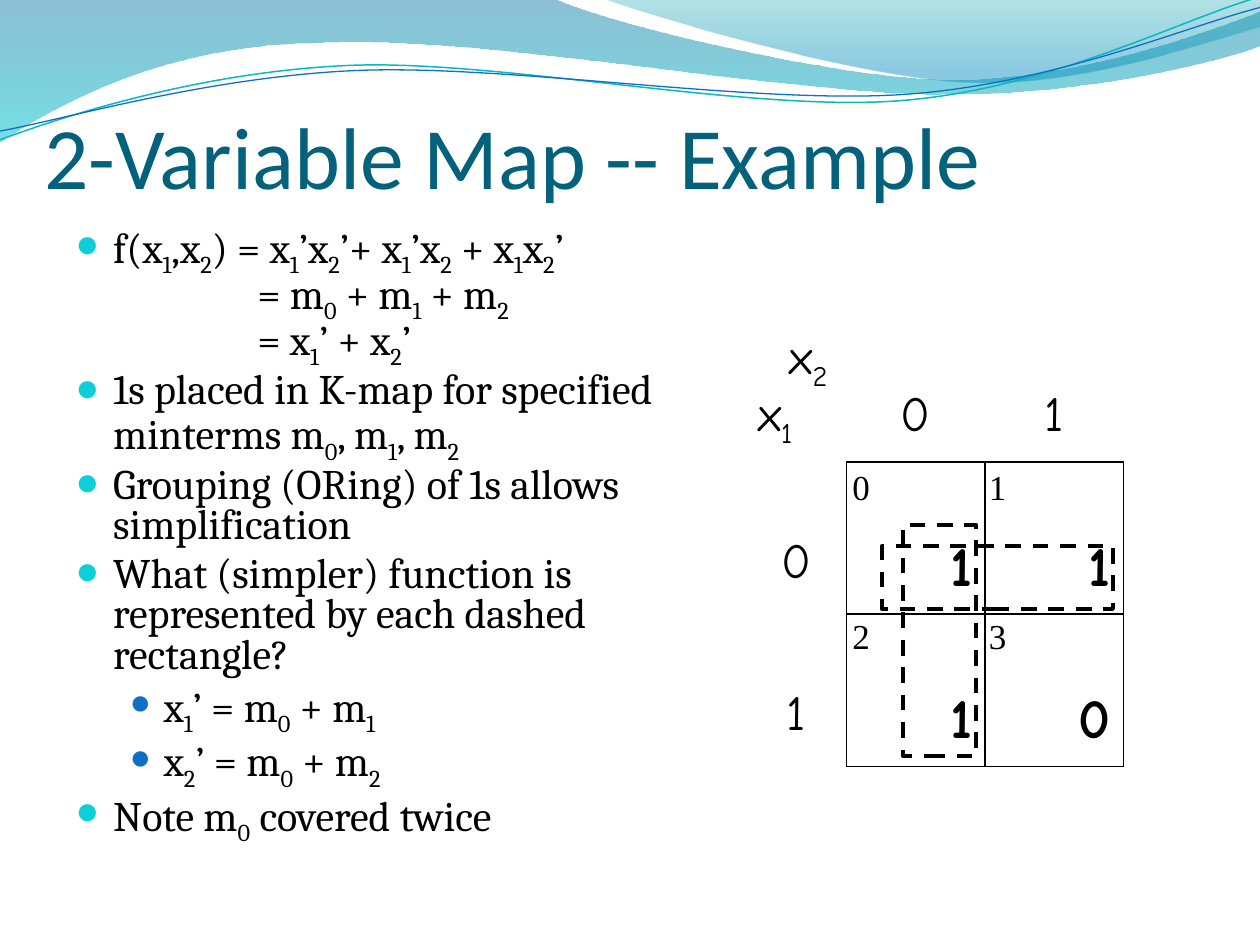
import math

import pptx
import pptx.dml.color
import pptx.enum.dml
import pptx.enum.shapes
import pptx.enum.text
import pptx.oxml
import pptx.oxml.ns
import pptx.util

Pt = pptx.util.Pt
RGBColor = pptx.dml.color.RGBColor
ALIGN = pptx.enum.text.PP_ALIGN
qn = pptx.oxml.ns.qn
NS = 'xmlns:a="http://schemas.openxmlformats.org/drawingml/2006/main"'

BLACK = RGBColor(0x00, 0x00, 0x00)
TITLE_TEAL = RGBColor(0x04, 0x61, 0x7B)
BULLET_CYAN = RGBColor(0x0B, 0xD0, 0xD9)
BLUE = RGBColor(0x0F, 0x6F, 0xC6)
LINE_TEAL = RGBColor(0x0A, 0xB8, 0xBF)
WAVE_BLUE = RGBColor(0x00, 0x74, 0xA1)
WAVE_CYAN = RGBColor(0x00, 0xC6, 0xCF)
CREST_GREEN = RGBColor(0x00, 0xA1, 0xA9)
CREST_BLUE = RGBColor(0x00, 0x8B, 0xBF)


def write(para, text, font, size, color=BLACK, bold=False):
    """Fill a paragraph; a digit after an underscore becomes a subscript."""
    for index, piece in enumerate(text.split("_")):
        parts = [(piece, False)] if index == 0 else [(piece[0], True), (piece[1:], False)]
        for words, lowered in parts:
            for number, line in enumerate(words.split("\n")):
                if number:
                    para.add_line_break()
                if not line:
                    continue
                span = para.add_run()
                span.text = line
                span.font.name = font
                span.font.size = Pt(size)
                span.font.bold = bold
                span.font.color.rgb = color
                if lowered:
                    span.font._element.set("baseline", "-25000")


def add_text(left, top, width, height, wrap=True):
    """Add an empty text box and return its text frame."""
    box = page.shapes.add_textbox(Pt(left), Pt(top), Pt(width), Pt(height))
    box.text_frame.word_wrap = wrap
    return box.text_frame


deck = pptx.Presentation()
deck.slide_width, deck.slide_height = Pt(720), Pt(540)
page = deck.slides.add_slide(deck.slide_layouts[6])

# Header waves: a start point, then straight (2 numbers) or curved (6 numbers) steps
waves = [
    ([(0, -0.7), (316.8, -0.7), (342.7, 12.2, 478, 45.4, 545.8, 45.4),
      (614.2, 45.4, 689.8, 18.7, 720, 6.5), (720.7, 25.9),
      (707.8, 31.7, 626.4, 54.7, 537.1, 54), (447.8, 54, 275, 20.2, 185, 24.5),
      (92.9, 25.2, 33.1, 59.8, -0.7, 81.4), (0, -0.7)],
     [(0, WAVE_BLUE, 45), (100, WAVE_CYAN, 55)], None, 0, None),
    ([(344.9, -0.7), (366.5, 7.9, 491, 44.6, 553.7, 46.8),
      (616.3, 49.7, 691.9, 23, 720, 15.1), (720, 0), (344.9, -0.7)],
     [(0, CREST_GREEN, 30), (80, CREST_BLUE, 45)], None, 0, None),
    ([(0, 79.9), (34.6, 67, 113.8, 41, 199.4, 37.4),
      (284.4, 33.8, 427, 64.1, 513.4, 57.6), (599.8, 51.1, 675.4, 10.8, 718.6, -1.4)],
     None, LINE_TEAL, 0.85, (359.3, 41.4)),
    ([(0, 74.9), (33.8, 69.1, 118.1, 43.9, 203.8, 40.3),
      (290.2, 36.7, 429.8, 59.8, 516.2, 54), (601.9, 48.2, 677.5, 15.1, 720, 4.3)],
     None, BLUE, 0.75, (359.6, 42.5)),
]
TILT = 2.7
cosine, sine = math.cos(math.radians(TILT)), math.sin(math.radians(TILT))
for steps, stops, line_color, line_width, pivot in waves:
    points = [pair for step in steps for pair in zip(step[0::2], step[1::2])]
    if pivot:
        offsets = [(x - pivot[0], y - pivot[1]) for x, y in points]
        points = [(pivot[0] + x * cosine - y * sine, pivot[1] + x * sine + y * cosine)
                  for x, y in offsets]
    points = [(Pt(x), Pt(y)) for x, y in points]
    builder = page.shapes.build_freeform(*points[0], scale=1.0)
    builder.add_line_segments(points[1:], close=stops is not None)
    wave = builder.convert_to_shape()
    segments = iter(list(wave._element.iter(qn("a:lnTo"))))
    for step in steps[1:]:
        group = [next(segments) for _ in range(len(step) // 2)]
        if len(group) == 3:
            curve = pptx.oxml.parse_xml(f"<a:cubicBezTo {NS}/>")
            group[0].addprevious(curve)
            for segment in group:
                curve.append(segment[0])
                segment.getparent().remove(segment)
    wave.shadow.inherit = False
    wave.fill.background()
    if stops:
        wave.line.fill.background()
        stop_xml = "".join(
            f'<a:gs pos="{place * 1000}"><a:srgbClr val="{color}">'
            f'<a:alpha val="{alpha * 1000}"/></a:srgbClr></a:gs>'
            for place, color, alpha in stops)
        gradient = pptx.oxml.parse_xml(
            f'<a:gradFill {NS} rotWithShape="1"><a:gsLst>{stop_xml}</a:gsLst>'
            '<a:lin ang="5400000" scaled="0"/></a:gradFill>')
        properties = wave._element.spPr
        properties.replace(properties.find(qn("a:noFill")), gradient)
    else:
        wave.rotation = 360 - TILT
        wave.line.color.rgb = line_color
        wave.line.width = Pt(line_width)

title = add_text(25.2, 28, 648, 90)
title.margin_left = title.margin_right = title.margin_bottom = 0
title.vertical_anchor = pptx.enum.text.MSO_ANCHOR.BOTTOM
write(title.paragraphs[0], "2-Variable Map -- Example", "Calibri", 50, TITLE_TEAL)

bullets = [
    (0, "f(x_1,x_2) = x_1’x_2’+ x_1’x_2 + x_1x_2’\n\t= m_0 + m_1 + m_2\n\t= x_1’ + x_2’"),
    (0, "1s placed in K-map for specified minterms m_0, m_1, m_2"),
    (0, "Grouping (ORing) of 1s allows simplification"),
    (0, "What (simpler) function is represented by each dashed rectangle?"),
    (1, "x_1’ = m_0 + m_1"),
    (1, "x_2’ = m_0 + m_2"),
    (0, "Note m_0 covered twice"),
]
# Left margin, hanging indent, bullet colour and bullet size of each level
levels = [(21.6, 21.6, BULLET_CYAN, 95), (50.4, 19.4, BLUE, 85)]
body = add_text(36, 126, 381, 356)
for index, (level, text) in enumerate(bullets):
    para = body.add_paragraph() if index else body.paragraphs[0]
    para.level = level
    para.line_spacing = 0.8
    para.space_before = Pt(4.8)
    write(para, text, "Cambria", 24)
    margin, hanging, color, percent = levels[level]
    settings = para._p.get_or_add_pPr()
    settings.set("marL", str(Pt(margin)))
    settings.set("indent", str(-Pt(hanging)))
    for xml in (f'<a:buClr {NS}><a:srgbClr val="{color}"/></a:buClr>',
                f'<a:buSzPct {NS} val="{percent * 1000}"/>',
                f'<a:buFont {NS} typeface="Times New Roman"/>',
                f'<a:buChar {NS} char="●"/>',
                f'<a:tabLst {NS}><a:tab pos="{Pt(104)}" algn="l"/></a:tabLst>'):
        settings.append(pptx.oxml.parse_xml(xml))

# Karnaugh map: header row and column carry no outline of their own
map_rows = [["x_1", "0", "1"], ["0", "1", "1"], ["1", "1", "0"]]
frame = page.shapes.add_table(3, 3, Pt(426), Pt(180), Pt(216), Pt(258))
table = frame.table
table.first_row = table.horz_banding = False
for column, width in zip(table.columns, (57.6, 79.2, 79.2)):
    column.width = Pt(width)
for row, height in zip(table.rows, (84, 87, 87)):
    row.height = Pt(height)
for r, values in enumerate(map_rows):
    for c, value in enumerate(values):
        cell = table.cell(r, c)
        inner = r > 0 and c > 0
        cell.margin_top = Pt(42.5 if inner else 41.5)
        para = cell.text_frame.paragraphs[0]
        if inner:
            para.alignment = ALIGN.RIGHT
        elif r or c:
            para.alignment = ALIGN.CENTER
        write(para, value, "Comic Neue", 32 if inner else 28, bold=inner)
        drawn = {"lnL": inner, "lnR": r > 0, "lnT": inner, "lnB": c > 0}
        for side, visible in drawn.items():
            paint = (f'<a:solidFill><a:srgbClr val="{BLACK}"/></a:solidFill>'
                     if visible else "<a:noFill/>")
            cell._tc.get_or_add_tcPr().append(pptx.oxml.parse_xml(
                f'<a:{side} {NS} w="{Pt(1)}">{paint}</a:{side}>'))
        cell.fill.background()

column_label = add_text(444, 182.2, 42.5, 41, wrap=False)
write(column_label.paragraphs[0], "x_2", "Comic Neue", 28)

for minterm in range(4):
    corner = add_text(480 + 78 * (minterm % 2), 262.6 + 85 * (minterm // 2), 24.5, 31, wrap=False)
    write(corner.paragraphs[0], str(minterm), "Times New Roman", 20)

for left, top, width, height in ((516, 300, 42, 132), (504, 312, 132, 36)):
    group = page.shapes.add_shape(pptx.enum.shapes.MSO_SHAPE.RECTANGLE,
                                  Pt(left), Pt(top), Pt(width), Pt(height))
    group.shadow.inherit = False
    group.fill.background()
    group.line.color.rgb = BLACK
    group.line.width = Pt(2.25)
    group.line.dash_style = pptx.enum.dml.MSO_LINE.DASH

deck.save("out.pptx")
